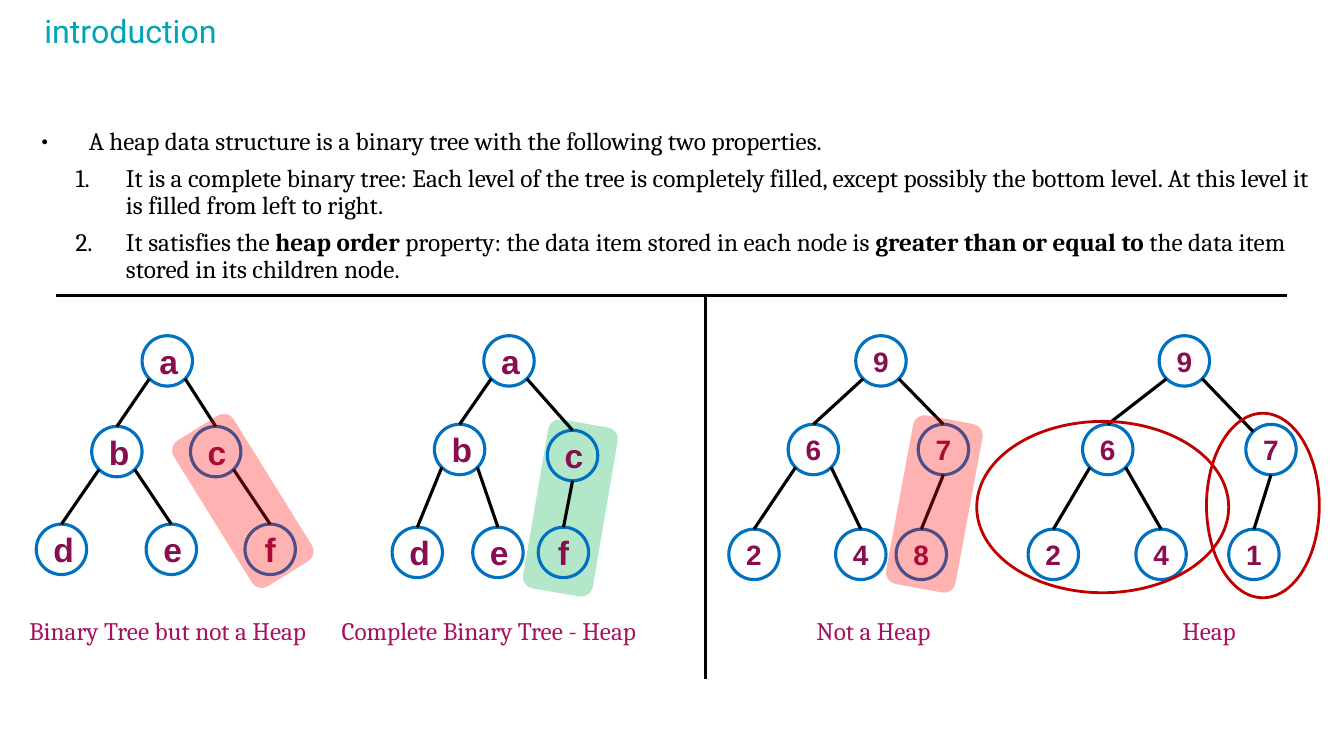
from lxml.etree import SubElement
from pptx import Presentation
from pptx.dml.color import RGBColor
from pptx.enum.shapes import MSO_CONNECTOR, MSO_SHAPE
from pptx.enum.text import MSO_ANCHOR, MSO_AUTO_SIZE, PP_ALIGN
from pptx.oxml.ns import qn
from pptx.util import Pt


def rgb(value):
    return RGBColor.from_string(value)


def add_line(x1, y1, x2, y2):
    line = shapes.add_connector(MSO_CONNECTOR.STRAIGHT, Pt(x1), Pt(y1), Pt(x2), Pt(y2))
    line.line.color.rgb = rgb("000000")
    line.line.width = Pt(2.25)
    SubElement(line._element.spPr, qn("a:effectLst"))


prs = Presentation()
prs.slide_width, prs.slide_height = Pt(960), Pt(540)
slide = prs.slides.add_slide(prs.slide_layouts[1])
shapes = slide.shapes

# Title
title = shapes.title
title.left, title.top, title.width, title.height = Pt(24.5), Pt(-0.7), Pt(671), Pt(45.4)
tf = title.text_frame
tf.text = "introduction"
tf.auto_size = MSO_AUTO_SIZE.NONE
tf.vertical_anchor = MSO_ANCHOR.MIDDLE
tf.margin_left = tf.margin_right = tf.margin_top = tf.margin_bottom = Pt(7.2)
p = tf.paragraphs[0]
p.alignment = PP_ALIGN.JUSTIFY
font = p.runs[0].font
font.name, font.size, font.color.rgb = "Roboto", Pt(23), rgb("00A4B6")

# Definition: each paragraph is a list of (text, bold) runs
definition = [
    [("A heap data structure is a binary tree with the following two properties.", False)],
    [("It is a complete binary tree: Each level of the tree is completely filled, except "
      "possibly the bottom level. At this level it is filled from left to right.", False)],
    [("It satisfies the ", False), ("heap order ", True),
     ("property: the data item stored in each node is ", False),
     ("greater than or equal to ", True),
     ("the data item stored in its children node.", False)],
]
body = slide.placeholders[1]
body.left, body.top, body.width, body.height = Pt(18), Pt(92.2), Pt(921.6), Pt(416)
tf = body.text_frame
tf.auto_size = MSO_AUTO_SIZE.NONE
tf.margin_left = tf.margin_right = tf.margin_top = tf.margin_bottom = 0
for i, runs in enumerate(definition):
    p = tf.paragraphs[0] if i == 0 else tf.add_paragraph()
    p.level = 1 if i else 0
    p.line_spacing = 0.9
    p.space_before = Pt(6.7 if i else 0)
    pPr = p._p.get_or_add_pPr()
    pPr.set("marL", str(Pt(72 if i else 45.4)))
    pPr.set("indent", str(Pt(-36 if i else -33.8)))
    if i:
        SubElement(pPr, qn("a:buFont"), typeface="+mj-lt")
        SubElement(pPr, qn("a:buAutoNum"), type="arabicPeriod")
    else:
        SubElement(SubElement(pPr, qn("a:buClr")), qn("a:srgbClr"), val="000000")
        SubElement(pPr, qn("a:buSzPct"), val="45000")
        SubElement(pPr, qn("a:buChar"), char="●")
    for text, bold in runs:
        r = p.add_run()
        r.text = text
        r.font.name, r.font.size, r.font.bold = "Cambria", Pt(18), bold
        r.font.color.rgb = rgb("000000")

# Dividers
add_line(504, 211.7, 504, 485.3)
add_line(40.3, 211, 919.4, 211)

# Trees: each node is (label, left, top), in level order
NODE = 36
NEAR, FAR = 0.146 * NODE, 0.854 * NODE
LEFT_FOOT, RIGHT_FOOT, FOOT = (NEAR, FAR), (FAR, FAR), (NODE / 2, NODE)
HEAD, LEFT_HEAD = (NODE / 2, 0), (NEAR, NEAR)
RED, GREEN = "FF0000", "00B050"

# Letter size, nodes, end of root's right edge, start of last edge,
# caption (text, left, width, alignment)
trees = [
    (24, [("a", 101.5, 239.8), ("b", 65.5, 304.6), ("c", 136.1, 304.6),
          ("d", 25.9, 374.4), ("e", 104.4, 374.4), ("f", 175, 374.4)],
     HEAD, RIGHT_FOOT, ("Binary Tree but not a Heap", 13.7, 251.3, PP_ALIGN.LEFT)),
    (24, [("a", 345.6, 239.8), ("b", 310.3, 303.1), ("c", 391, 307.4),
          ("d", 280.1, 376.6), ("e", 337.7, 376.6), ("f", 384.5, 376.6)],
     HEAD, FOOT, ("Complete Binary Tree - Heap", 236.9, 262.8, PP_ALIGN.LEFT)),
    (20, [("9", 611.3, 239.8), ("6", 563, 303.1), ("7", 655.9, 303.1),
          ("2", 520.6, 378), ("4", 596.9, 378), ("8", 640.1, 378)],
     HEAD, FOOT, ("Not a Heap", 576, 104.4, PP_ALIGN.LEFT)),
    (20, [("9", 828, 239.8), ("6", 773.3, 303.1), ("7", 889.9, 303.1),
          ("2", 734.4, 378), ("4", 811.4, 378), ("1", 877.7, 378)],
     LEFT_HEAD, FOOT, ("Heap", 828, 71.3, PP_ALIGN.CENTER)),
]
# Bands over one branch: left, top, rotation, colour; one per tree, the green one behind it
bands = [(148.3, 296.6, 328.2, RED), (382.3, 301.7, 9.7, GREEN), (642.2, 298.8, 10.5, RED), None]

for (size, nodes, right_head, last_foot, caption), band in zip(trees, bands):
    first_in_tree = len(shapes)
    for label, x, y in nodes:
        sp = shapes.add_shape(MSO_SHAPE.OVAL, Pt(x), Pt(y), Pt(NODE), Pt(NODE))
        sp.shadow.inherit = False
        sp.fill.background()
        sp.line.color.rgb, sp.line.width = rgb("0070C0"), Pt(2.25)
        tf = sp.text_frame
        tf.text = label
        tf.vertical_anchor = MSO_ANCHOR.MIDDLE
        p = tf.paragraphs[0]
        p.alignment = PP_ALIGN.CENTER
        font = p.runs[0].font
        font.name, font.size, font.bold = "Arial", Pt(size), True
        font.color.rgb = rgb("890E4F")

    edges = [(0, 1, LEFT_FOOT, HEAD), (0, 2, RIGHT_FOOT, right_head), (1, 3, LEFT_FOOT, HEAD),
             (1, 4, RIGHT_FOOT, HEAD), (2, 5, last_foot, HEAD)]
    for parent, child, (x1, y1), (x2, y2) in edges:
        _, px, py = nodes[parent]
        _, cx, cy = nodes[child]
        add_line(px + x1, py + y1, cx + x2, cy + y2)

    if band:
        left, top, angle, color = band
        sp = shapes.add_shape(MSO_SHAPE.ROUNDED_RECTANGLE, Pt(left), Pt(top), Pt(50.4), Pt(122.4))
        sp.rotation = angle
        sp.shadow.inherit = False
        sp.line.fill.background()
        sp.fill.solid()
        sp.fill.fore_color.rgb = rgb(color)
        SubElement(next(sp._element.spPr.iter(qn("a:srgbClr"))), qn("a:alpha"), val="30000")
        if color == GREEN:
            shapes[first_in_tree]._element.addprevious(sp._element)

    text, left, width, align = caption
    tf = shapes.add_textbox(Pt(left), Pt(436.3), Pt(width), Pt(29)).text_frame
    tf.word_wrap = True
    tf.text = text
    p = tf.paragraphs[0]
    p.alignment = align
    font = p.runs[0].font
    font.name, font.size, font.color.rgb = "Cambria", Pt(18), rgb("A71160")

# Subtrees of the heap
for left, top, width, height in [(697.7, 301, 180, 122.4), (861.8, 295.2, 80.6, 131.8)]:
    sp = shapes.add_shape(MSO_SHAPE.OVAL, Pt(left), Pt(top), Pt(width), Pt(height))
    sp.shadow.inherit = False
    sp.fill.background()
    sp.line.color.rgb, sp.line.width = rgb("C00000"), Pt(2)

prs.save("out.pptx")
